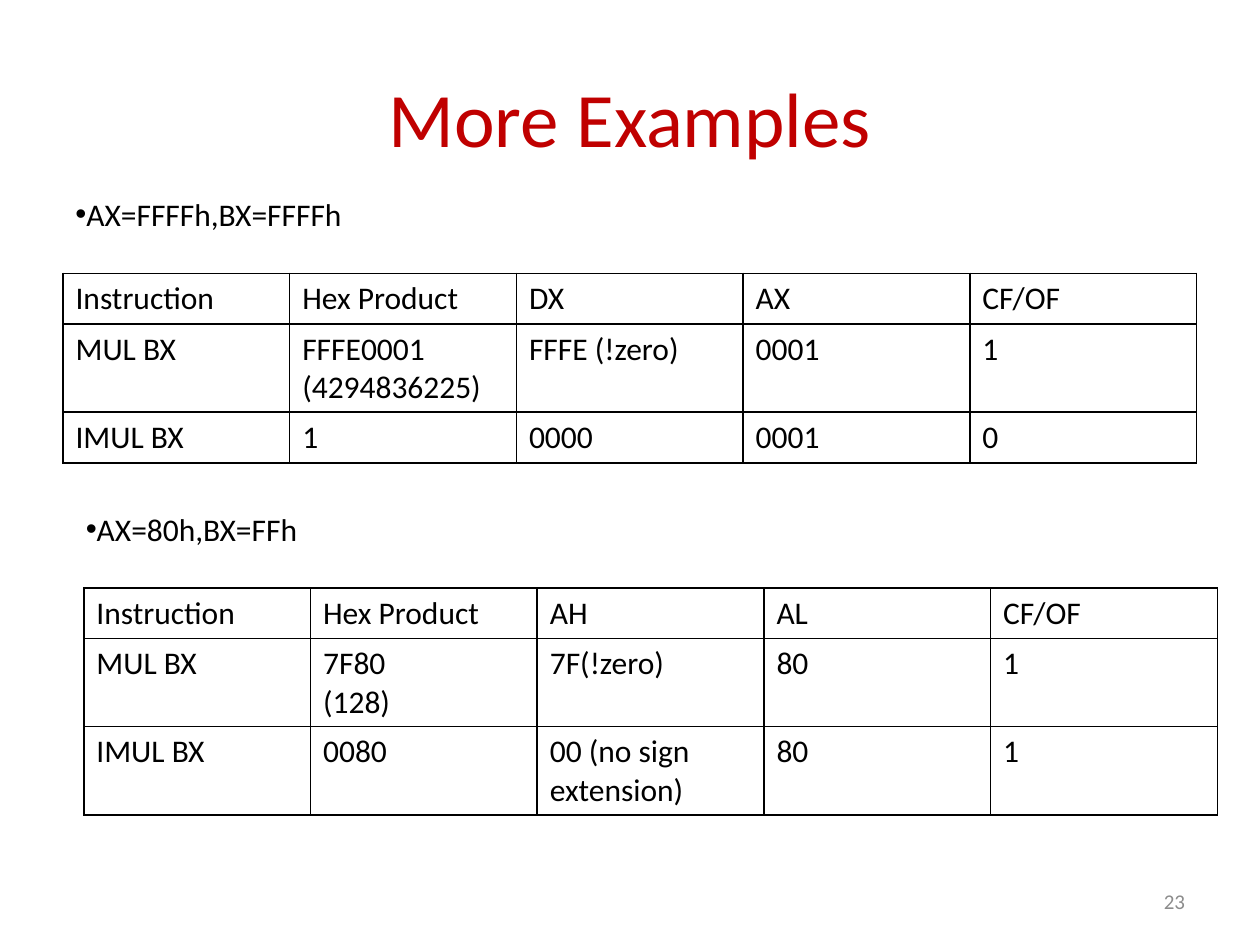
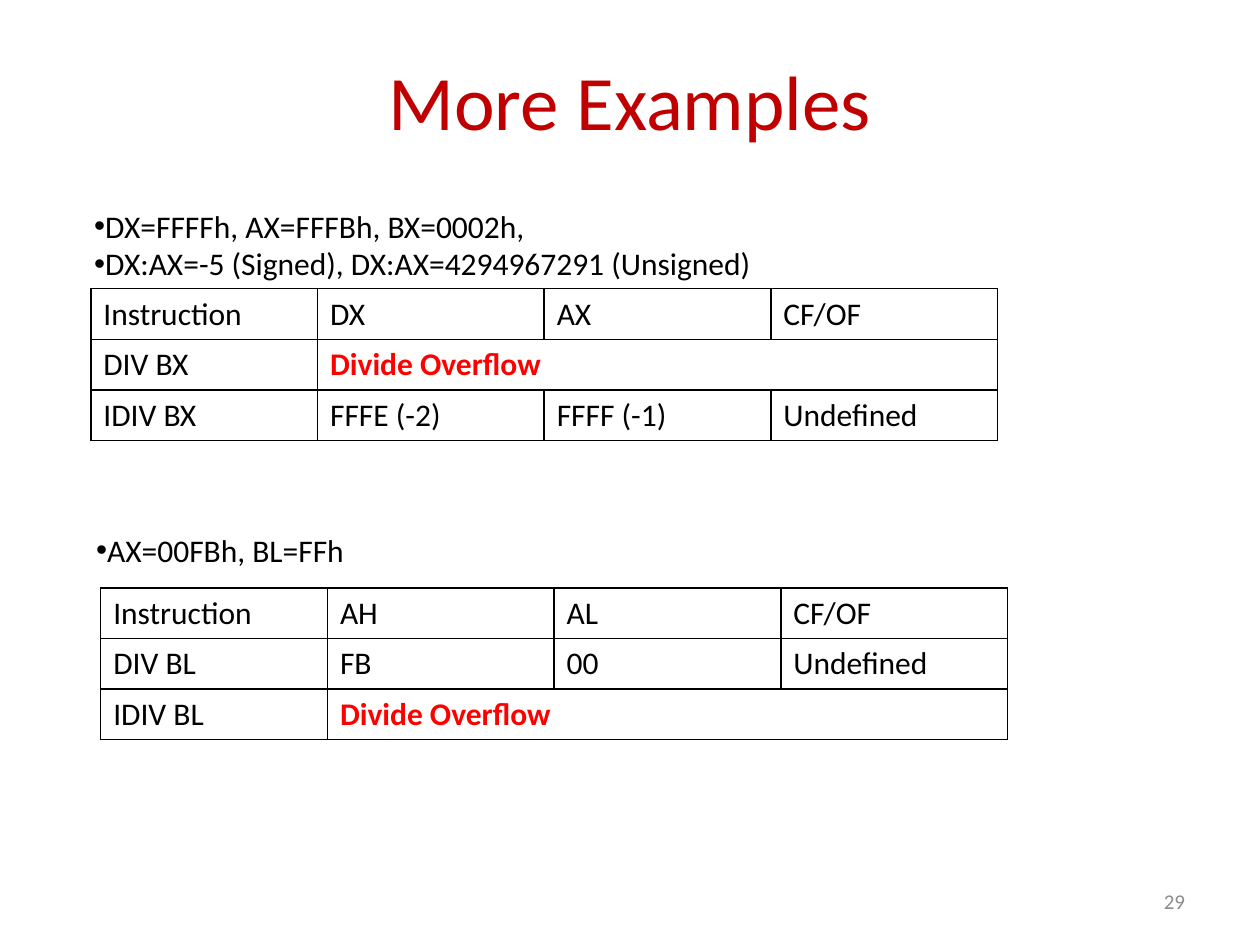
from lxml import etree
from pptx import Presentation
from pptx.dml.color import RGBColor
from pptx.enum import text
from pptx.oxml import ns
from pptx.util import Cm, Pt

BLACK = RGBColor(0, 0, 0)
CRIMSON = RGBColor(0xC0, 0, 0)
RED = RGBColor(0xFF, 0, 0)
GRAY = RGBColor(0x8C, 0x8C, 0x8C)

COL, ROW = 4.57, 1.02
ALARM = "Divide Overflow"

BODY = {"name": "Calibri", "size": Pt(18), "bold": False}
HEAD = {**BODY, "size": Pt(44)}
FOOT = {**BODY, "size": Pt(12)}
BOLD = {**BODY, "bold": True}


def write(frame, lines, style, color, align=text.PP_ALIGN.LEFT):
    for i, line in enumerate(lines):
        para = frame.paragraphs[0] if i == 0 else frame.add_paragraph()
        para.alignment = align
        run = para.add_run()
        run.text = line
        for key, value in style.items():
            setattr(run.font, key, value)
        run.font.color.rgb = color


def add_text(slide, box, lines, style, color, align, anchor):
    frame = slide.shapes.add_textbox(*map(Cm, box)).text_frame
    frame.word_wrap = True
    frame.vertical_anchor = anchor
    write(frame, lines, style, color, align)
    return frame


def add_title(slide, top):
    add_text(slide, (1.27, top, 22.86, 3.18), ["More Examples"], HEAD, CRIMSON,
             text.PP_ALIGN.CENTER, text.MSO_ANCHOR.MIDDLE)


def add_page(slide, number):
    add_text(slide, (18.21, 17.65, 5.93, ROW), [number], FOOT, GRAY,
             text.PP_ALIGN.RIGHT, text.MSO_ANCHOR.MIDDLE)


def add_list(slide, box, lines):
    frame = add_text(slide, box, lines, BODY, BLACK,
                     text.PP_ALIGN.LEFT, text.MSO_ANCHOR.TOP)
    frame.auto_size = text.MSO_AUTO_SIZE.SHAPE_TO_FIT_TEXT
    for para in frame.paragraphs:
        props = para._p.get_or_add_pPr()
        etree.SubElement(props, ns.qn("a:buFont"), typeface="Arial")
        etree.SubElement(props, ns.qn("a:buChar"), char="•")


def rule_cell(cell):
    props = cell._tc.get_or_add_tcPr()
    for side in ("lnL", "lnR", "lnT", "lnB"):
        line = etree.SubElement(props, ns.qn("a:" + side), w=str(Pt(1)))
        fill = etree.SubElement(line, ns.qn("a:solidFill"))
        etree.SubElement(fill, ns.qn("a:srgbClr"), val=str(BLACK))
    cell.fill.background()


def add_grid(slide, left, top, rows):
    wide = len(rows[0])
    box = (left, top, COL * wide, ROW * len(rows))
    grid = slide.shapes.add_table(len(rows), wide, *map(Cm, box)).table
    grid.first_row = grid.horz_banding = False
    for col in grid.columns:
        col.width = Cm(COL)
    for r, row in enumerate(rows):
        grid.rows[r].height = Cm(ROW)
        for c in range(wide):
            cell = grid.cell(r, c)
            rule_cell(cell)
            words = row[c] if c < len(row) else ""
            alarm = words == ALARM
            write(cell.text_frame, words.split("\n"),
                  BOLD if alarm else BODY, RED if alarm else BLACK)
        if len(row) < wide:
            grid.cell(r, len(row) - 1).merge(grid.cell(r, wide - 1))


def add_slide(deck, top, number, parts):
    slide = deck.slides.add_slide(deck.slide_layouts[6])
    add_title(slide, top)
    for box, lines, left, start, rows in parts:
        add_list(slide, box, lines)
        add_grid(slide, left, start, rows)
    add_page(slide, number)


deck = Presentation()
deck.slide_width, deck.slide_height = Cm(25.4), Cm(19.05)

add_slide(deck, 0.76, "23", [
    ((1.27, 3.81, 6.15, ROW), ["AX=FFFFh,BX=FFFFh"], 1.27, 5.51, [
        ["Instruction", "Hex Product", "DX", "AX", "CF/OF"],
        ["MUL BX", "FFFE0001\n(4294836225)", "FFFE (!zero)", "0001", "1"],
        ["IMUL BX", "1", "0000", "0001", "0"]]),
    ((1.48, 10.16, 6.15, ROW), ["AX=80h,BX=FFh"], 1.69, 11.85, [
        ["Instruction", "Hex Product", "AH", "AL", "CF/OF"],
        ["MUL BX", "7F80\n(128)", "7F(!zero)", "80", "1"],
        ["IMUL BX", "0080", "00 (no sign extension)", "80", "1"]]),
])
add_slide(deck, 0.42, "29", [
    ((1.65, 4.04, 19.05, 1.8),
     ["DX=FFFFh, AX=FFFBh, BX=0002h, ",
      "DX:AX=-5 (Signed), DX:AX=4294967291 (Unsigned)"], 1.83, 5.82, [
        ["Instruction", "DX", "AX", "CF/OF"],
        ["DIV BX", ALARM],
        ["IDIV BX", "FFFE (-2)", "FFFF (-1)", "Undefined"]]),
    ((1.69, 10.58, 17.57, ROW), ["AX=00FBh, BL=FFh"], 2.03, 11.85, [
        ["Instruction", "AH", "AL", "CF/OF"],
        ["DIV BL", "FB", "00", "Undefined"],
        ["IDIV BL", ALARM]]),
])
deck.save("out.pptx")
